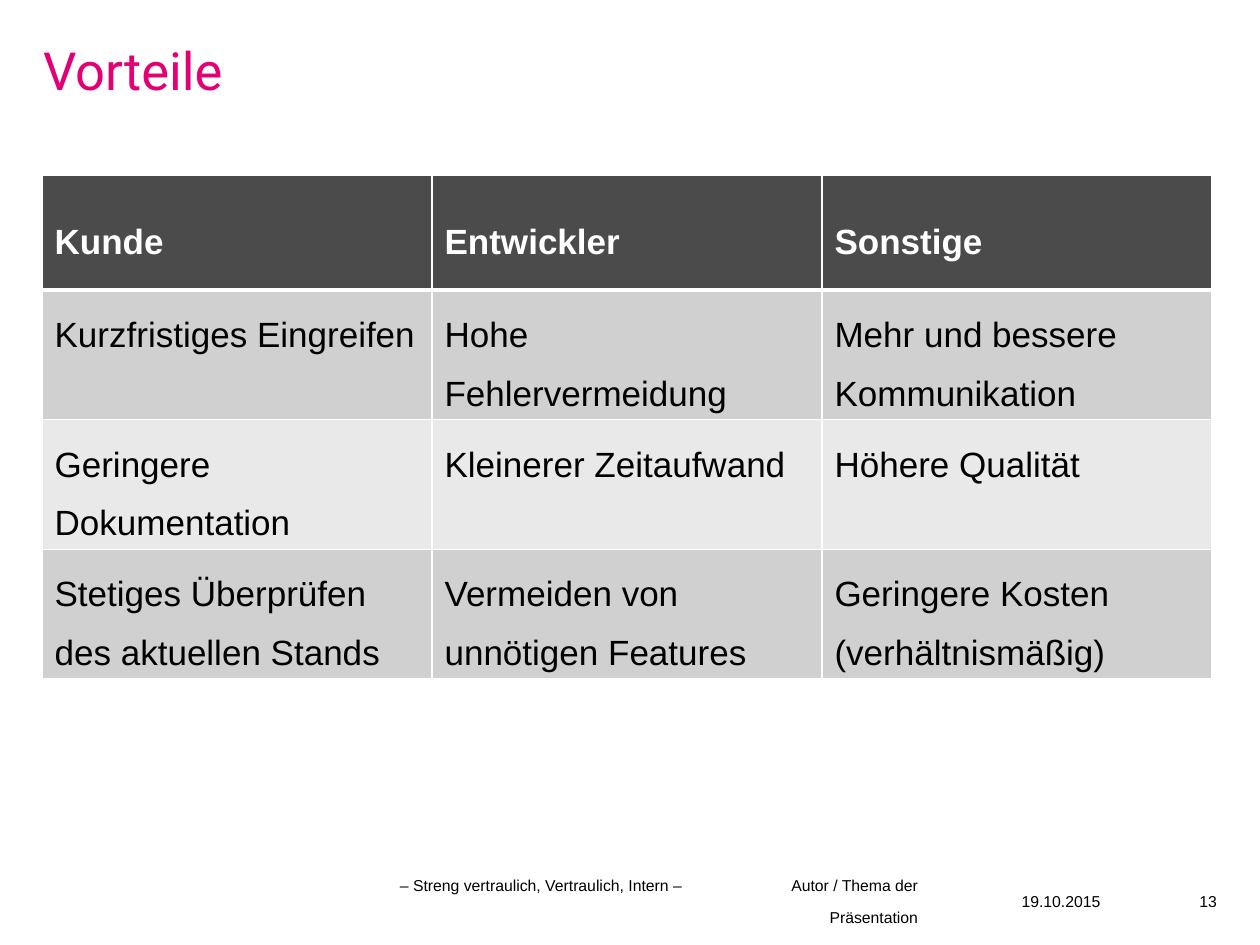
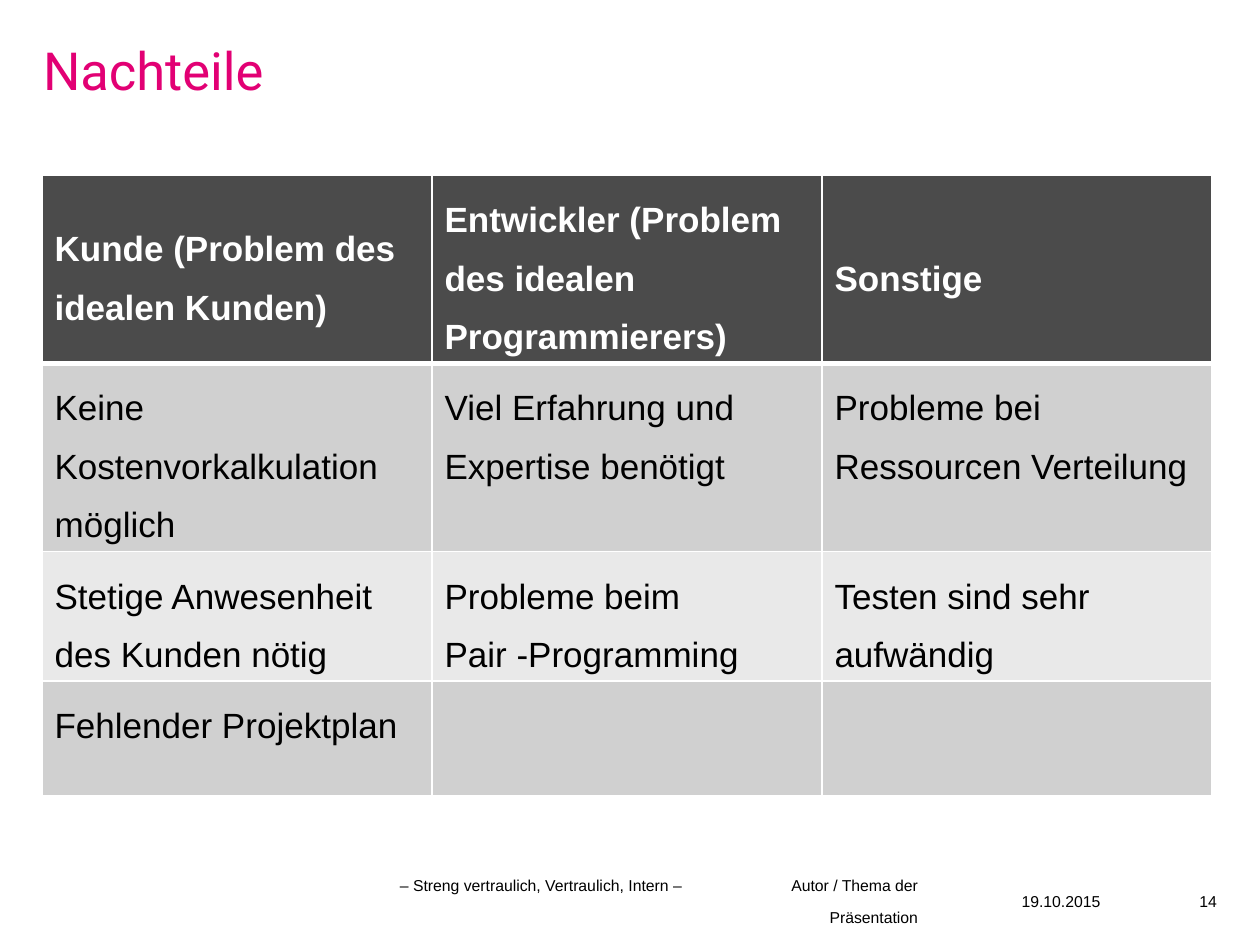
import lxml.etree
import pptx
import pptx.dml.color
import pptx.enum.text
import pptx.oxml.ns
import pptx.util

PIXELS_PER_INCH = 126
COLORS = {
    "title": "E20074",
    "text": "000000",
    "header": "4B4B4B",
    "band_dark": "D0D0D0",
    "band_light": "E9E9E9",
    "white": "FFFFFF",
}
ALIGN = pptx.enum.text.PP_ALIGN
ANCHOR = pptx.enum.text.MSO_ANCHOR

TABLE_LEFT, TABLE_TOP = 42, 175
COLUMN_WIDTH, ROW_HEIGHT = 390, 115
FIRST_PAGE = 13

FOOTERS = [
    ("– Streng vertraulich, Vertraulich, Intern –", (400, 863, 300, 32), ALIGN.LEFT),
    ("Autor / Thema der Präsentation", (758, 863, 160, 64), ALIGN.RIGHT),
    ("19.10.2015", (937, 879, 248, 32), ALIGN.CENTER),
]
PAGE_NUMBER_BOX = (1177, 879, 40, 32)

SLIDES = [
    ("Vorteile", [
        ["Kunde", "Entwickler", "Sonstige"],
        ["Kurzfristiges Eingreifen", "Hohe Fehlervermeidung",
         "Mehr und bessere Kommunikation"],
        ["Geringere Dokumentation", "Kleinerer Zeitaufwand", "Höhere Qualität"],
        ["Stetiges Überprüfen des aktuellen Stands",
         "Vermeiden von unnötigen Features", "Geringere Kosten (verhältnismäßig)"],
    ]),
    ("Nachteile", [
        ["Kunde (Problem des idealen Kunden)",
         "Entwickler (Problem des idealen Programmierers)", "Sonstige"],
        ["Keine Kostenvorkalkulation möglich",
         "Viel Erfahrung und Expertise benötigt",
         "Probleme bei Ressourcen Verteilung"],
        ["Stetige Anwesenheit des Kunden nötig",
         "Probleme beim\vPair -Programming", "Testen sind sehr aufwändig"],
        ["Fehlender Projektplan", "", ""],
    ]),
]


def px(length):
    return pptx.util.Emu(round(length * 914400 / PIXELS_PER_INCH))


def rgb(name):
    return pptx.dml.color.RGBColor.from_string(COLORS[name])


def write_text(frame, text, *, size, color="text", font="Arial", bold=False,
               align=ALIGN.LEFT, spacing=1.0):
    frame.text = text
    paragraph = frame.paragraphs[0]
    paragraph.alignment = align
    paragraph.line_spacing = spacing
    for run in paragraph.runs:
        run.font.name = font
        run.font.size = pptx.util.Pt(size)
        run.font.bold = bold
        run.font.color.rgb = rgb(color)


def prepare_frame(frame, anchor):
    frame.margin_left = frame.margin_right = 0
    frame.margin_top = frame.margin_bottom = 0
    frame.word_wrap = True
    frame.auto_size = pptx.enum.text.MSO_AUTO_SIZE.NONE
    frame.vertical_anchor = anchor


def add_title(slide, text):
    title = slide.shapes.title
    title.left, title.top, title.width, title.height = map(px, (43, 45, 1170, 59))
    prepare_frame(title.text_frame, ANCHOR.TOP)
    write_text(title.text_frame, text, size=30, color="title", font="Roboto",
               spacing=0.9)


def add_footer_text(slide, text, box, align):
    shape = slide.shapes.add_textbox(*map(px, box))
    prepare_frame(shape.text_frame, ANCHOR.MIDDLE)
    write_text(shape.text_frame, text, size=9, align=align,
               spacing=pptx.util.Pt(18))


def add_footers(slide, page_number):
    for text, box, align in FOOTERS:
        add_footer_text(slide, text, box, align)
    add_footer_text(slide, str(page_number), PAGE_NUMBER_BOX, ALIGN.RIGHT)


def set_borders(cell, top, bottom):
    properties = cell._tc.get_or_add_tcPr()
    for side, width in (("lnL", 1), ("lnR", 1), ("lnT", top), ("lnB", bottom)):
        line = lxml.etree.SubElement(properties, pptx.oxml.ns.qn(f"a:{side}"),
                                     w=str(pptx.util.Pt(width)))
        fill = lxml.etree.SubElement(line, pptx.oxml.ns.qn("a:solidFill"))
        lxml.etree.SubElement(fill, pptx.oxml.ns.qn("a:srgbClr"),
                              val=COLORS["white"])


def format_cell(cell, text, row_index):
    is_header = row_index == 0
    set_borders(cell, top=3 if row_index == 1 else 1, bottom=3 if is_header else 1)
    band = "band_dark" if row_index % 2 else "band_light"
    cell.fill.solid()
    cell.fill.fore_color.rgb = rgb("header" if is_header else band)
    cell.vertical_anchor = ANCHOR.MIDDLE if is_header else ANCHOR.TOP
    if text:
        write_text(cell.text_frame, text, size=20, bold=is_header,
                   color="white" if is_header else "text", spacing=1.5)


def add_comparison_table(slide, rows):
    column_count = len(rows[0])
    table = slide.shapes.add_table(
        len(rows), column_count, px(TABLE_LEFT), px(TABLE_TOP),
        px(COLUMN_WIDTH * column_count), px(ROW_HEIGHT * len(rows))).table
    for row_index, row in enumerate(rows):
        for column_index, text in enumerate(row):
            format_cell(table.cell(row_index, column_index), text, row_index)


def main():
    presentation = pptx.Presentation()
    presentation.slide_width = px(1260)
    presentation.slide_height = px(945)
    title_only = presentation.slide_layouts.get_by_name("Title Only")
    for page_number, (title, rows) in enumerate(SLIDES, FIRST_PAGE):
        slide = presentation.slides.add_slide(title_only)
        add_footers(slide, page_number)
        add_title(slide, title)
        add_comparison_table(slide, rows)
    presentation.save("out.pptx")


if __name__ == "__main__":
    main()
